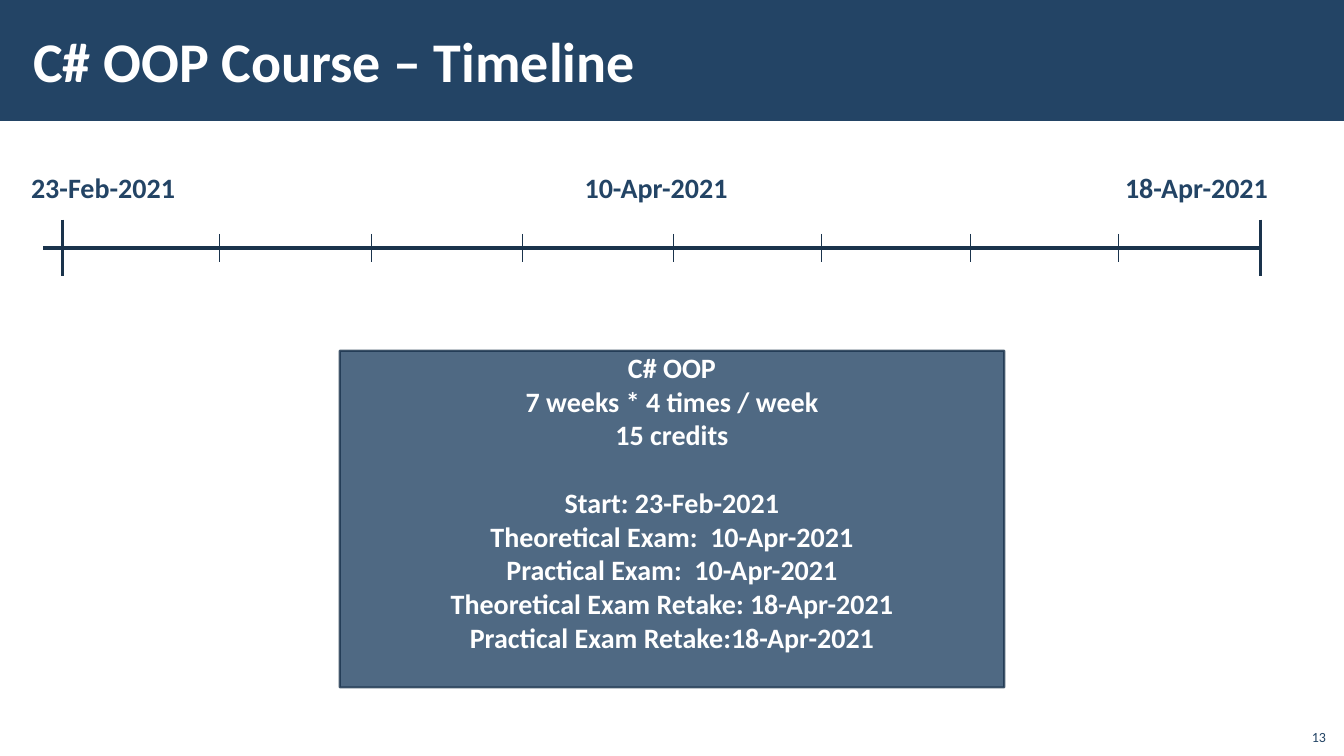
from dataclasses import dataclass
from pptx import Presentation, util as u
from pptx.dml.color import RGBColor
from pptx.enum import shapes, text
from pptx.oxml.ns import qn
from lxml import etree


@dataclass(frozen=True)
class Theme:
    font: str = "Calibri"
    navy: RGBColor = RGBColor(0x23, 0x44, 0x65)
    dark: RGBColor = RGBColor(0x1A, 0x33, 0x4C)
    white: RGBColor = RGBColor(0xFF, 0xFF, 0xFF)
    head: int = 40
    body: int = 20
    foot: int = 10


theme = Theme()
deck = Presentation()
deck.slide_width, deck.slide_height = u.Inches(13.33), u.Inches(7.5)
slide = deck.slides.add_slide(deck.slide_layouts[5])
parts = slide.shapes


def write(par, words, size, color, bold=True, align=text.PP_ALIGN.LEFT):
    par.alignment = align
    run = par.add_run()
    run.text = words
    font = run.font
    font.name, font.size, font.bold = theme.font, u.Pt(size), bold
    font.color.rgb = color


def rule(x1, y1, x2, y2, width):
    """Draw a plain dark line; lengths in inches, width in points."""
    line = parts.add_connector(shapes.MSO_CONNECTOR.STRAIGHT,
                               *map(u.Inches, (x1, y1, x2, y2)))
    line.line.color.rgb = theme.dark
    line.line.width = u.Pt(width)
    etree.SubElement(line._element.spPr, qn("a:effectLst"))


# Header band, behind the title
band = parts.add_shape(shapes.MSO_SHAPE.RECTANGLE, 0, 0,
                       deck.slide_width, u.Inches(1.2))
band.shadow.inherit = False
band.fill.solid()
band.fill.fore_color.rgb = theme.navy
band.line.fill.background()
parts._spTree.insert(2, band._element)

title = parts.title
title.left, title.top = u.Inches(0.21), u.Inches(0.11)
title.width, title.height = u.Inches(10.63), u.Inches(0.97)
frame = title.text_frame
frame.vertical_anchor = text.MSO_ANCHOR.MIDDLE
frame.margin_left = frame.margin_right = u.Inches(0.12)
frame.margin_top = frame.margin_bottom = u.Inches(0.04)
write(frame.paragraphs[0], "C# OOP Course – Timeline", theme.head, theme.white)

# Dates above the axis
for left, date in ((0.21, "23-Feb-2021"), (5.7, "10-Apr-2021"),
                   (11.06, "18-Apr-2021")):
    label = parts.add_textbox(*map(u.Inches, (left, 1.64, 1.8, 0.44)))
    label.text_frame.word_wrap = True
    write(label.text_frame.paragraphs[0], date, theme.body, theme.navy)

# Course details
card = parts.add_shape(shapes.MSO_SHAPE.RECTANGLE,
                       *map(u.Inches, (3.37, 3.48, 6.59, 3.34)))
card.shadow.inherit = False
card.fill.solid()
card.fill.fore_color.rgb = theme.navy
card.line.color.rgb = theme.dark
card.line.width = u.Pt(1.5)
for tint in card._element.spPr.iter(qn("a:srgbClr")):
    etree.SubElement(tint, qn("a:alpha"), val="80000")

frame = card.text_frame
frame.word_wrap = True
frame.vertical_anchor = text.MSO_ANCHOR.TOP
frame.margin_top = 0
groups = (
    ("C# OOP", "7 weeks * 4 times / week", "15 credits"),
    ("Start: 23-Feb-2021", "Theoretical Exam:  10-Apr-2021",
     "Practical Exam:  10-Apr-2021", "Theoretical Exam Retake: 18-Apr-2021",
     "Practical Exam Retake:18-Apr-2021"),
)
par = frame.paragraphs[0]
for group in groups:
    for row in group:
        if par.runs:
            par = frame.add_paragraph()
            if row == group[0]:
                par.space_before = u.Pt(24.4)
        write(par, row, theme.body, theme.white, align=text.PP_ALIGN.CENTER)

# Axis, its two ends and the weekly ticks
axis, start, end, mid = 2.46, 0.62, 12.5, 6.68
rule(0.43, axis, end, axis, 2.25)
for x in (start, end):
    rule(x, axis - 0.28, x, axis + 0.28, 2.25)
ticks = [mid - 1.5 * n for n in (3, 2, 1)] + [mid + 1.47 * n for n in range(4)]
for x in ticks:
    rule(x, axis - 0.14, x, axis + 0.14, 0.5)

# Page number
page = parts.add_textbox(*map(u.Inches, (12.75, 7.12, 0.5, 0.32)))
page.text_frame.word_wrap = True
page.text_frame.vertical_anchor = text.MSO_ANCHOR.BOTTOM
write(page.text_frame.paragraphs[0], "13", theme.foot, theme.navy,
      bold=False, align=text.PP_ALIGN.RIGHT)

deck.save("out.pptx")
